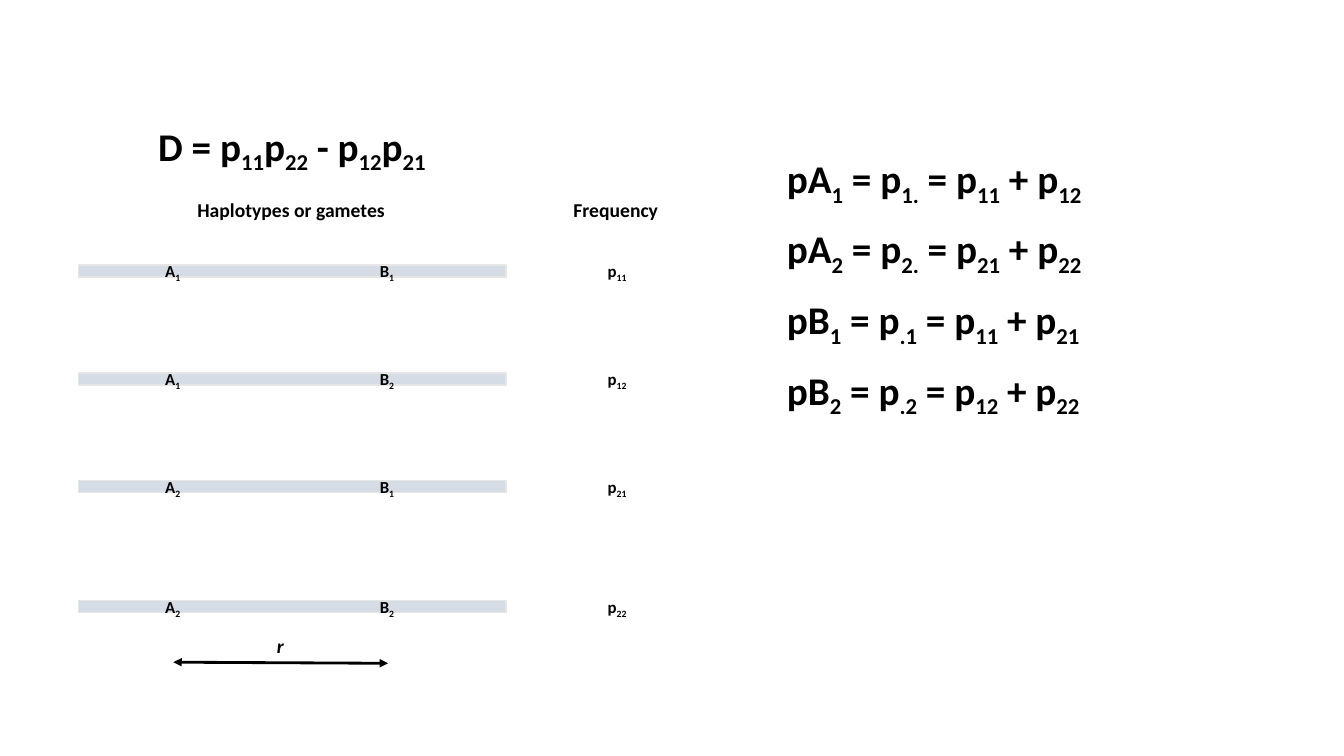
from dataclasses import dataclass

from lxml import etree
from pptx import Presentation
from pptx.dml.color import RGBColor
from pptx.enum.shapes import MSO_CONNECTOR, MSO_SHAPE
from pptx.enum.text import MSO_ANCHOR, MSO_AUTO_SIZE, PP_ALIGN
from pptx.oxml.ns import qn
from pptx.shapes.base import BaseShape
from pptx.shapes.shapetree import GroupShapes
from pptx.util import Pt

RECT = MSO_SHAPE.RECTANGLE
STRAIGHT = MSO_CONNECTOR.STRAIGHT
TOP = MSO_ANCHOR.TOP
GROW = MSO_AUTO_SIZE.SHAPE_TO_FIT_TEXT
LEFT, CENTER = PP_ALIGN.LEFT, PP_ALIGN.CENTER


@dataclass(frozen=True)
class Theme:
    font: str = "Calibri"
    ink: RGBColor = RGBColor(0x00, 0x00, 0x00)
    bar: RGBColor = RGBColor(0xD6, 0xDC, 0xE5)
    edge: RGBColor = RGBColor(0xE7, 0xE6, 0xE6)
    small: int = 12
    head: int = 14
    large: int = 28


@dataclass(frozen=True)
class Label:
    """Text in a box; every second part between bars is a subscript."""
    text: str
    left: float
    top: float
    width: float
    height: float
    size: int
    italic: bool = False


@dataclass(frozen=True)
class Gamete:
    a: int
    b: int
    top: float


THEME = Theme()
BAR_LEFT, BAR_WIDTH, BAR_HEIGHT = 56.2, 305.3, 8.6
LIFT = 6.5  # labels start this far above their bar

GAMETES = [
    Gamete(1, 1, 189.4),
    Gamete(1, 2, 266.4),
    Gamete(2, 1, 343.4),
    Gamete(2, 2, 429.1),
]
TITLE = Label("D = p|11|p|22| - p|12|p|21", 99.4, 83.5, 218.2, 41, THEME.large)
HEADS = [
    Label("Haplotypes or gametes", 133.9, 137.5, 149, 24.5, THEME.head),
    Label("Frequency", 402.5, 137.5, 75.6, 24.5, THEME.head),
    Label("r", 190.8, 449.3, 19.4, 24.5, THEME.head, italic=True),
]
SUMS = [
    "pA|1| = p|1.| = p|11| + p|12",
    "pA|2| = p|2.| = p|21| + p|22",
    "pB|1| = p|.1| = p|11| + p|21",
    "pB|2| = p|.2| = p|12| + p|22",
]


def write(shape: BaseShape, label: Label, align: PP_ALIGN = LEFT) -> None:
    frame = shape.text_frame
    frame.word_wrap = False
    frame.auto_size = GROW
    frame.vertical_anchor = TOP
    para = frame.paragraphs[0]
    para.alignment = align
    para.line_spacing = 1.0
    font = para.font
    font.name, font.size = THEME.font, Pt(label.size)
    font.bold, font.italic = True, label.italic
    font.color.rgb = THEME.ink
    for index, part in enumerate(label.text.split("|")):
        run = para.add_run()
        run.text = part
        if index % 2:
            run._r.get_or_add_rPr().set("baseline", "-25000")


def place(shapes: GroupShapes, label: Label) -> None:
    box = shapes.add_textbox(Pt(label.left), Pt(label.top),
                             Pt(label.width), Pt(label.height))
    write(box, label)


def draw_bar(shapes: GroupShapes, top: float) -> None:
    bar = shapes.add_shape(RECT, Pt(BAR_LEFT), Pt(top),
                           Pt(BAR_WIDTH), Pt(BAR_HEIGHT))
    bar.shadow.inherit = False
    bar.fill.solid()
    bar.fill.fore_color.rgb = THEME.bar
    bar.line.color.rgb = THEME.edge
    bar.line.width = Pt(1)


def draw_row(shapes: GroupShapes, gamete: Gamete) -> None:
    draw_bar(shapes, gamete.top)
    cells = [
        (f"A|{gamete.a}", 110.9, 25.9),
        (f"B|{gamete.b}", 264.2, 25.2),
        (f"p|{gamete.a}{gamete.b}", 427, 29.5),
    ]
    for text, left, width in cells:
        place(shapes, Label(text, left, gamete.top - LIFT, width, 21.6,
                            THEME.small))


def draw_arrow(shapes: GroupShapes) -> None:
    """Double arrow for the distance between the two loci."""
    arrow = shapes.add_connector(STRAIGHT, Pt(123.8), Pt(473),
                                 Pt(277.2), Pt(473.8))
    arrow.line.color.rgb = THEME.ink
    arrow.line.width = Pt(2)
    line = arrow.get_or_add_ln()
    for end in ("a:headEnd", "a:tailEnd"):
        etree.SubElement(line, qn(end), type="triangle")
    etree.SubElement(line.getparent(), qn("a:effectLst"))


def main() -> None:
    deck = Presentation()
    deck.slide_width, deck.slide_height = Pt(960), Pt(540)
    slide = deck.slides.add_slide(deck.slide_layouts.get_by_name("Title Only"))

    title = slide.shapes.title
    title.left, title.top = Pt(TITLE.left), Pt(TITLE.top)
    title.width, title.height = Pt(TITLE.width), Pt(TITLE.height)
    write(title, TITLE, CENTER)

    chart = slide.shapes.add_group_shape().shapes
    for gamete in GAMETES:
        draw_row(chart, gamete)
    for head in HEADS:
        place(chart, head)
    draw_arrow(chart)

    sums = slide.shapes.add_group_shape().shapes
    for index, text in enumerate(SUMS):
        place(sums, Label(text, 555, 106.6 + 50.4 * index, 235.5, 41,
                          THEME.large))
    deck.save("out.pptx")


if __name__ == "__main__":
    main()
